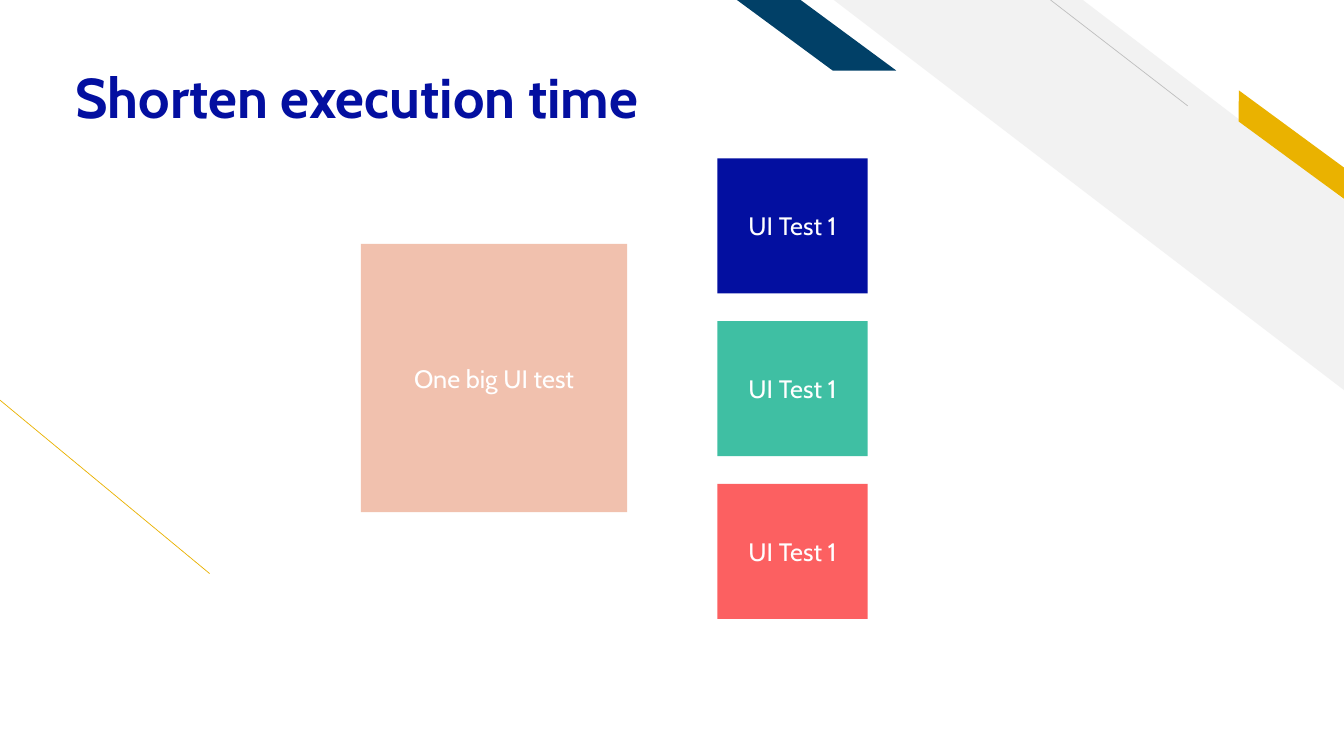
"""Build the slide that compares one big UI test with three small ones."""
from dataclasses import dataclass

from lxml.etree import SubElement
from pptx import Presentation
from pptx.dml.color import RGBColor
from pptx.enum.shapes import MSO_CONNECTOR, MSO_SHAPE
from pptx.enum.text import MSO_ANCHOR, MSO_AUTO_SIZE, PP_ALIGN
from pptx.oxml.ns import qn
from pptx.shapes.autoshape import Shape
from pptx.slide import Slide
from pptx.text.text import TextFrame
from pptx.util import Inches, Pt

WIDE, HIGH = Inches(13.33), Inches(7.5)


@dataclass(frozen=True)
class Theme:
    """Colours, font and type sizes of the slide."""
    blue: str = "030FA0"
    navy: str = "014067"
    gold: str = "EAB200"
    pale: str = "F2F2F2"
    gray: str = "BFBFBF"
    peach: str = "F1C1AE"
    green: str = "3FBFA3"
    coral: str = "FC6061"
    white: str = "FFFFFF"
    face: str = "Cabin"
    title: float = 40
    label: float = 18
    hair: float = 0.5


@dataclass(frozen=True)
class Box:
    """A frame in percent of the slide's width and height."""
    left: float
    top: float
    width: float
    height: float

    def frame(self) -> tuple[int, int, int, int]:
        """Return the frame in slide units."""
        return (*spot(self.left, self.top), *spot(self.width, self.height))


@dataclass(frozen=True)
class Band:
    """A slanted band, mirrored left to right."""
    kind: MSO_SHAPE
    box: Box
    slant: float
    fill: str
    turn: float = 0


@dataclass(frozen=True)
class Rule:
    """A thin line between two points in percent."""
    start: tuple[float, float]
    end: tuple[float, float]
    tint: str


@dataclass(frozen=True)
class Card:
    """A filled box with a centred label."""
    box: Box
    text: str
    fill: str


THEME = Theme()
STEP = 21.53
BANDS = (
    Band(MSO_SHAPE.DIAGONAL_STRIPE, Box(62.04, 0, 37.96, 51.6), 0.512, THEME.pale),
    Band(MSO_SHAPE.PARALLELOGRAM, Box(90.55, 17.47, 11.1, 3.33), 0.72, THEME.gold, 36.3),
    Band(MSO_SHAPE.PARALLELOGRAM, Box(54.84, 0, 11.85, 9.33), 1.356, THEME.navy),
)
RULES = (
    Rule((15.6, 75.87), (0, 52.93), THEME.gold),
    Rule((88.37, 14), (78.17, 0), THEME.gray),
)
CARDS = (
    Card(Box(26.86, 32.27, 19.8, 35.47), "One big UI test", THEME.peach),
    *(Card(Box(53.38, 20.95 + row * STEP, 11.18, 17.87), "UI Test 1", fill)
      for row, fill in enumerate((THEME.blue, THEME.green, THEME.coral))),
)


def spot(across: float, down: float) -> tuple[int, int]:
    """Turn percents of the slide into slide units."""
    return round(WIDE * across / 100), round(HIGH * down / 100)


def write(frame: TextFrame, text: str, size: float, tint: str,
          bold: bool = False, align: PP_ALIGN = PP_ALIGN.LEFT) -> None:
    """Put one styled paragraph in a frame."""
    frame.text = text
    para = frame.paragraphs[0]
    para.alignment = align
    font = para.font
    font.name, font.size, font.bold = THEME.face, Pt(size), bold
    font.color.rgb = RGBColor.from_string(tint)


def draw_shape(slide: Slide, kind: MSO_SHAPE, box: Box, fill: str) -> Shape:
    """Add a flat shape with no outline."""
    shape = slide.shapes.add_shape(kind, *box.frame())
    shape.shadow.inherit = False
    shape.fill.solid()
    shape.fill.fore_color.rgb = RGBColor.from_string(fill)
    shape.line.fill.background()
    return shape


def draw_band(slide: Slide, band: Band) -> None:
    """Add a mirrored band."""
    shape = draw_shape(slide, band.kind, band.box, band.fill)
    shape.adjustments[0] = band.slant
    shape.rotation = band.turn
    shape.element.spPr.get_or_add_xfrm().set("flipH", "1")


def draw_rule(slide: Slide, rule: Rule) -> None:
    """Add a hairline with no shadow."""
    line = slide.shapes.add_connector(
        MSO_CONNECTOR.STRAIGHT, *spot(*rule.start), *spot(*rule.end))
    line.line.color.rgb = RGBColor.from_string(rule.tint)
    line.line.width = Pt(THEME.hair)
    SubElement(line.element.spPr, qn("a:effectLst"))


def draw_card(slide: Slide, card: Card) -> None:
    """Add a labelled card."""
    shape = draw_shape(slide, MSO_SHAPE.RECTANGLE, card.box, card.fill)
    frame = shape.text_frame
    frame.vertical_anchor = MSO_ANCHOR.MIDDLE
    write(frame, card.text, THEME.label, THEME.white, align=PP_ALIGN.CENTER)


def draw_title(slide: Slide) -> None:
    """Place and style the title."""
    title = slide.shapes.title
    box = Box(4.88, 5.33, 86.27, 12)
    title.left, title.top, title.width, title.height = box.frame()
    frame = title.text_frame
    frame.auto_size = MSO_AUTO_SIZE.NONE
    frame.vertical_anchor = MSO_ANCHOR.BOTTOM
    frame.margin_bottom = 0
    write(frame, "Shorten execution time", THEME.title, THEME.blue, bold=True)
    frame.paragraphs[0].line_spacing = 0.9


def main() -> None:
    """Build and save the deck."""
    deck = Presentation()
    deck.slide_width, deck.slide_height = WIDE, HIGH
    slide = deck.slides.add_slide(deck.slide_layouts.get_by_name("Title Only"))
    for band in BANDS:
        draw_band(slide, band)
    for rule in RULES:
        draw_rule(slide, rule)
    draw_title(slide)
    for card in CARDS:
        draw_card(slide, card)
    deck.save("out.pptx")


if __name__ == "__main__":
    main()
